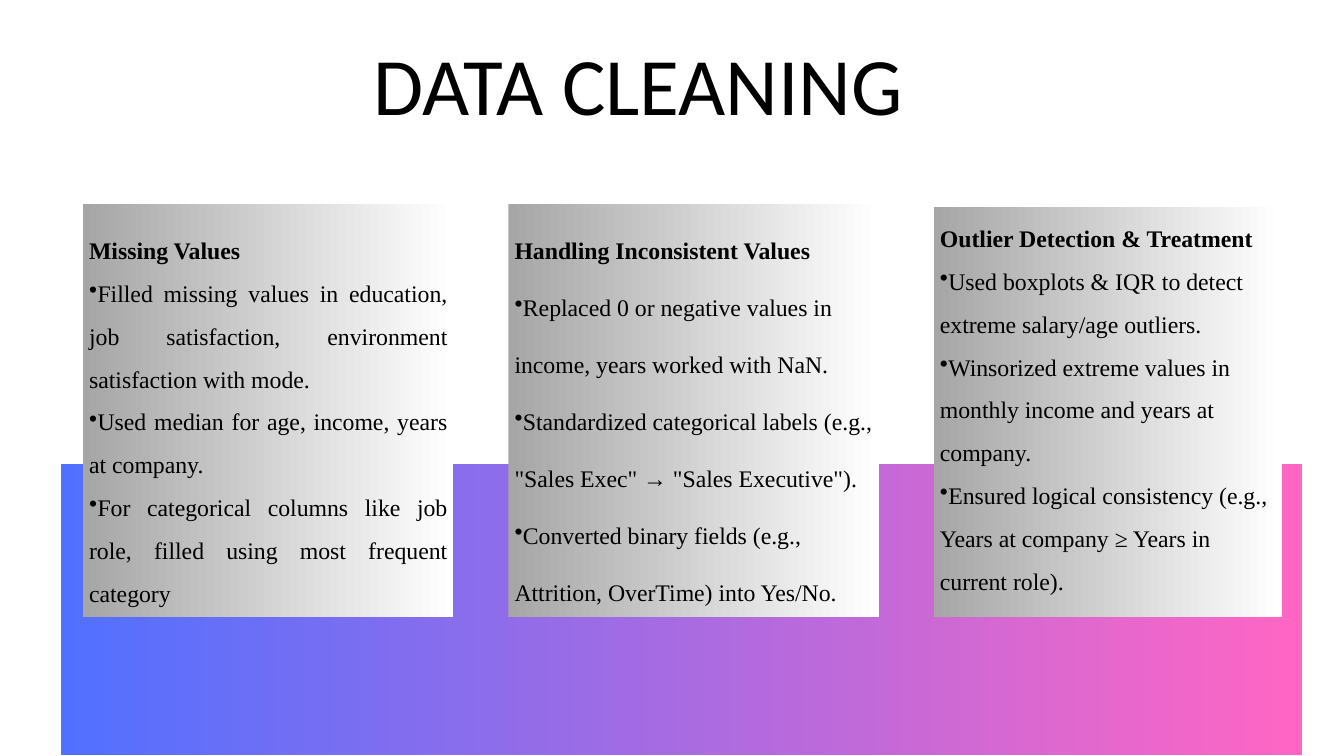
from pptx import Presentation
from pptx.dml.color import RGBColor
from pptx.enum.shapes import MSO_SHAPE as Shape
from pptx.enum.text import MSO_ANCHOR as Anchor, PP_ALIGN as Align
from pptx.oxml.ns import qn
from pptx.util import Inches, Pt
from lxml.etree import SubElement

THEME = {
    "band": ("5170FF", "FF66C4"),
    "card": ("A6A6A6", "FFFFFF"),
    "ink": RGBColor(0, 0, 0),
    "title": ("Calibri", Pt(96)),
    "body": ("Times New Roman", Pt(28)),
}

# Card grid: equal column steps, shared bottom edge
FIRST_LEFT, COLUMN_STEP, CARD_BOTTOM = 1.36, 6.96, 10.09

# Heading, bullets, top, width, top inset, alignment, line spacings
CARDS = [
    ("Missing Values", [
        "Filled missing values in education, job satisfaction, environment satisfaction with mode.",
        "Used median for age, income, years at company.",
        "For categorical columns like job role, filled using most frequent category",
    ], 3.34, 6.06, 0.52, Align.JUSTIFY, 1.0, 1.5),
    ("Handling Inconsistent Values", [
        "Replaced 0 or negative values in income, years worked with NaN.",
        'Standardized categorical labels (e.g., "Sales Exec" → "Sales Executive").',
        "Converted binary fields (e.g., Attrition, OverTime) into Yes/No.",
    ], 3.34, 6.06, 0.05, Align.LEFT, 2.0, 2.0),
    ("Outlier Detection & Treatment", [
        "Used boxplots & IQR to detect extreme salary/age outliers.",
        "Winsorized extreme values in monthly income and years at company.",
        "Ensured logical consistency (e.g., Years at company ≥ Years in current role).",
    ], 3.38, 5.69, 0.05, Align.LEFT, 1.5, 1.5),
]


def add_gradient_box(page, left, top, width, height, colors):
    box = page.shapes.add_shape(
        Shape.RECTANGLE, Inches(left), Inches(top), Inches(width), Inches(height))
    box.shadow.inherit = False
    box.line.fill.background()
    box.fill.gradient()
    box.fill.gradient_angle = 0
    for stop, color, position in zip(box.fill.gradient_stops, colors, (0, 1)):
        stop.color.rgb = RGBColor.from_string(color)
        stop.position = position
    return box


def style_paragraph(para, text, style, align, spacing):
    para.text = text
    para.alignment = align
    para.line_spacing = spacing
    para.font.name, para.font.size = THEME[style]
    para.font.color.rgb = THEME["ink"]


deck = Presentation()
deck.slide_width, deck.slide_height = Inches(21.99), Inches(12.37)
page = deck.slides.add_slide(deck.slide_layouts[6])

# Colour band
add_gradient_box(page, 0.99, 7.59, 20.31, 4.77, THEME["band"])

# Title
title = page.shapes.add_textbox(Inches(4.91), Inches(0.57), Inches(11.07), Inches(1.7))
frame = title.text_frame
frame.word_wrap = True
frame.margin_left = frame.margin_right = frame.margin_top = frame.margin_bottom = 0
style_paragraph(frame.paragraphs[0], "DATA CLEANING", "title", Align.CENTER, Pt(114.1))

# Cards
for column, card in enumerate(CARDS):
    heading, bullets, top, width, inset, align, heading_spacing, bullet_spacing = card
    left = FIRST_LEFT + column * COLUMN_STEP
    box = add_gradient_box(page, left, top, width, CARD_BOTTOM - top, THEME["card"])
    frame = box.text_frame
    frame.word_wrap = True
    frame.vertical_anchor = Anchor.TOP
    frame.margin_top = Inches(inset)

    para = frame.paragraphs[0]
    style_paragraph(para, heading, "body", align, heading_spacing)
    para.font.bold = True

    for bullet in bullets:
        para = frame.add_paragraph()
        style_paragraph(para, bullet, "body", align, bullet_spacing)
        properties = para._p.get_or_add_pPr()
        mark = SubElement(properties, qn("a:buChar"), char="•")
        properties.find(qn("a:defRPr")).addprevious(mark)

deck.save("out.pptx")
